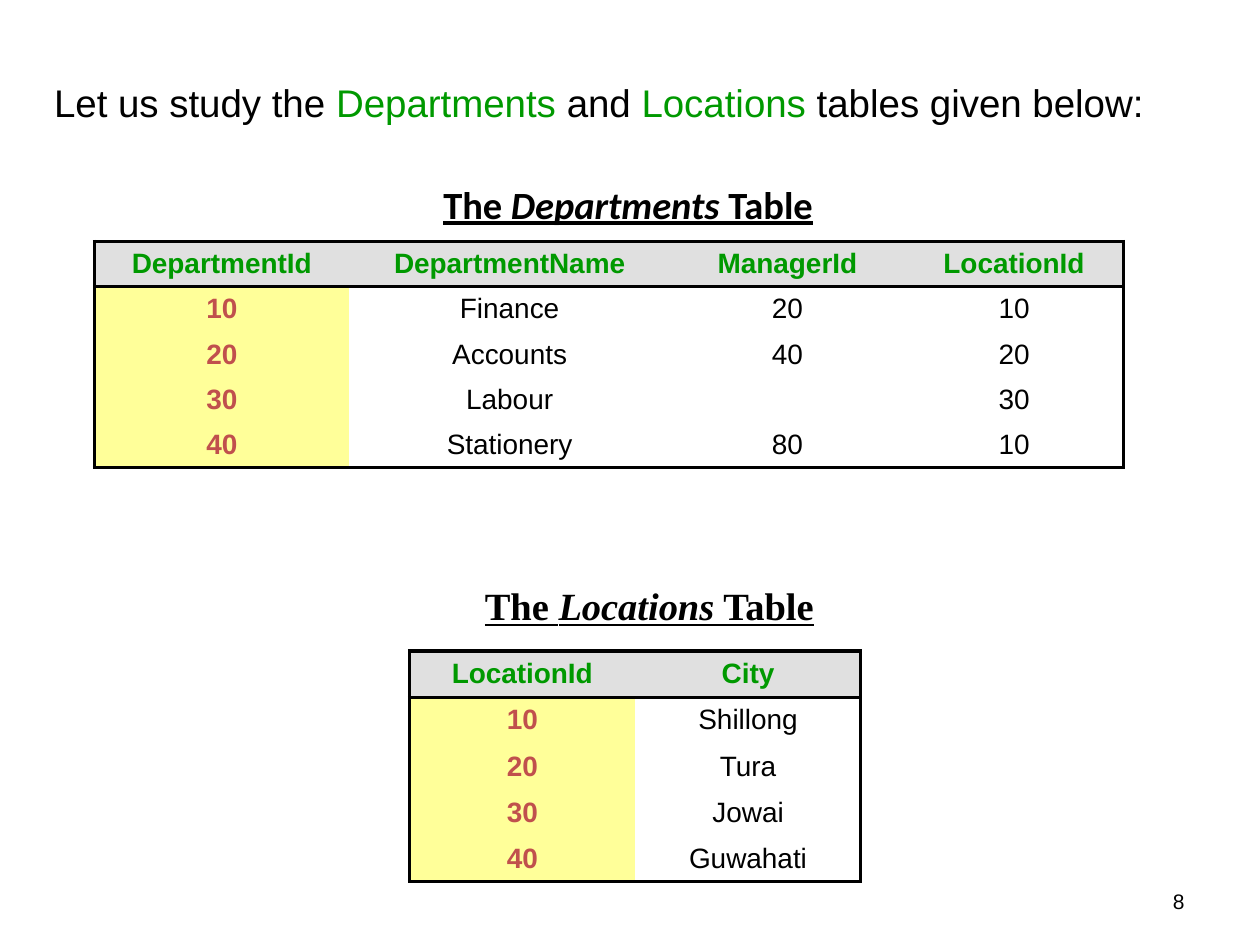
from lxml import etree
from pptx import Presentation
from pptx.dml.color import RGBColor
from pptx.enum.text import MSO_ANCHOR, MSO_AUTO_SIZE, PP_ALIGN
from pptx.oxml.ns import qn
from pptx.util import Pt

LEFT, CENTER, RIGHT = PP_ALIGN.LEFT, PP_ALIGN.CENTER, PP_ALIGN.RIGHT
TOP, MIDDLE = MSO_ANCHOR.TOP, MSO_ANCHOR.MIDDLE
NO_FIT, FIT_SHAPE = MSO_AUTO_SIZE.NONE, MSO_AUTO_SIZE.SHAPE_TO_FIT_TEXT

BLACK = RGBColor(0x00, 0x00, 0x00)
GREEN = RGBColor(0x00, 0x99, 0x00)
RED = RGBColor(0xC0, 0x50, 0x4D)
GREY = RGBColor(0xE0, 0xE0, 0xE0)
YELLOW = RGBColor(0xFF, 0xFF, 0x99)


def add_run(p, text, color=BLACK, **formats):
    r = p.add_run()
    r.text = text
    r.font.color.rgb = color
    for name, value in formats.items():
        setattr(r.font, name, value)


def set_borders(cell, sides):
    tc_pr = cell._tc.get_or_add_tcPr()
    for side in ("L", "R", "T", "B"):
        ln = etree.SubElement(tc_pr, qn(f"a:ln{side}"))
        if side in sides:
            ln.set("w", str(Pt(2)))
            fill = etree.SubElement(ln, qn("a:solidFill"))
            etree.SubElement(fill, qn("a:srgbClr"), val=str(BLACK))
        else:
            ln.set("w", "0")
            etree.SubElement(ln, qn("a:noFill"))


prs = Presentation()
prs.slide_width, prs.slide_height = Pt(720), Pt(540)
s = prs.slides.add_slide(prs.slide_layouts[6])

# Text boxes: position, frame settings, alignment, font, runs
intro = [("Let us study the ", {}), ("Departments", {"color": GREEN}), (" and ", {}),
         ("Locations", {"color": GREEN}), (" tables given below:", {})]
captions = {name: [("The ", {}), (name, {"italic": True}), (" Table", {})]
            for name in ("Departments", "Locations")}
arial = {"name": "Arial", "size": Pt(22)}
caption_font = {"size": Pt(22), "bold": True, "underline": True}
calibri = {"name": "Calibri", **caption_font}
times = {"name": "Times New Roman", **caption_font}
number_font = {"name": "Arial", "size": Pt(12)}
boxes = [
    ((23.8, 41.8, 666, 33.9), True, TOP, FIT_SHAPE, LEFT, arial, intro),
    ((241.2, 99.4, 235.4, 33.9), False, MIDDLE, FIT_SHAPE, CENTER, calibri, captions["Departments"]),
    ((270, 329, 204.5, 33.9), False, MIDDLE, FIT_SHAPE, LEFT, times, captions["Locations"]),
    ((516, 500.5, 168, 28.8), True, MIDDLE, NO_FIT, RIGHT, number_font, [("8", {})]),
]
for place, wrap, anchor, fit, align, font, runs in boxes:
    tf = s.shapes.add_textbox(*map(Pt, place)).text_frame
    tf.word_wrap, tf.vertical_anchor, tf.auto_size = wrap, anchor, fit
    p = tf.paragraphs[0]
    p.alignment = align
    for text, formats in runs:
        add_run(p, text, **font, **formats)

# Tables: left, top, column widths, row height, rows
tables = [
    (54, 138, (145.5, 183.5, 134, 125), 25.15, [
        ("DepartmentId", "DepartmentName", "ManagerId", "LocationId"),
        ("10", "Finance", "20", "10"),
        ("20", "Accounts", "40", "20"),
        ("30", "Labour", "", "30"),
        ("40", "Stationery", "80", "10")]),
    (234, 372, (129, 129), 26.4, [
        ("LocationId", "City"),
        ("10", "Shillong"),
        ("20", "Tura"),
        ("30", "Jowai"),
        ("40", "Guwahati")]),
]
for left, top, widths, row_height, rows in tables:
    last_row, last_col = len(rows) - 1, len(widths) - 1
    table = s.shapes.add_table(len(rows), len(widths), Pt(left), Pt(top),
                               Pt(sum(widths)), Pt(row_height * len(rows))).table
    table.horz_banding = False
    for column, width in zip(table.columns, widths):
        column.width = Pt(width)
    for i, row in enumerate(rows):
        table.rows[i].height = Pt(row_height)
        for j, text in enumerate(row):
            cell = table.cell(i, j)
            cell.vertical_anchor = MIDDLE
            cell.margin_top = cell.margin_bottom = Pt(3.3)

            # Outer frame and the rule under the header
            sides = {"L": j == 0, "R": j == last_col, "T": i <= 1, "B": i in (0, last_row)}
            set_borders(cell, [side for side, drawn in sides.items() if drawn])

            # Header row, key column and plain cells
            if i == 0:
                fill, color = GREY, GREEN
            elif j == 0:
                fill, color = YELLOW, RED
            else:
                fill, color = None, BLACK
            if fill is None:
                cell.fill.background()
            else:
                cell.fill.solid()
                cell.fill.fore_color.rgb = fill

            p = cell.text_frame.paragraphs[0]
            p.alignment = CENTER
            if text:
                add_run(p, text, color, name="Arial", size=Pt(16), bold=fill is not None)
            else:
                # Keeps the empty cell from stretching its row
                etree.SubElement(p._p, qn("a:endParaRPr"), sz="1600")

prs.save("out.pptx")
